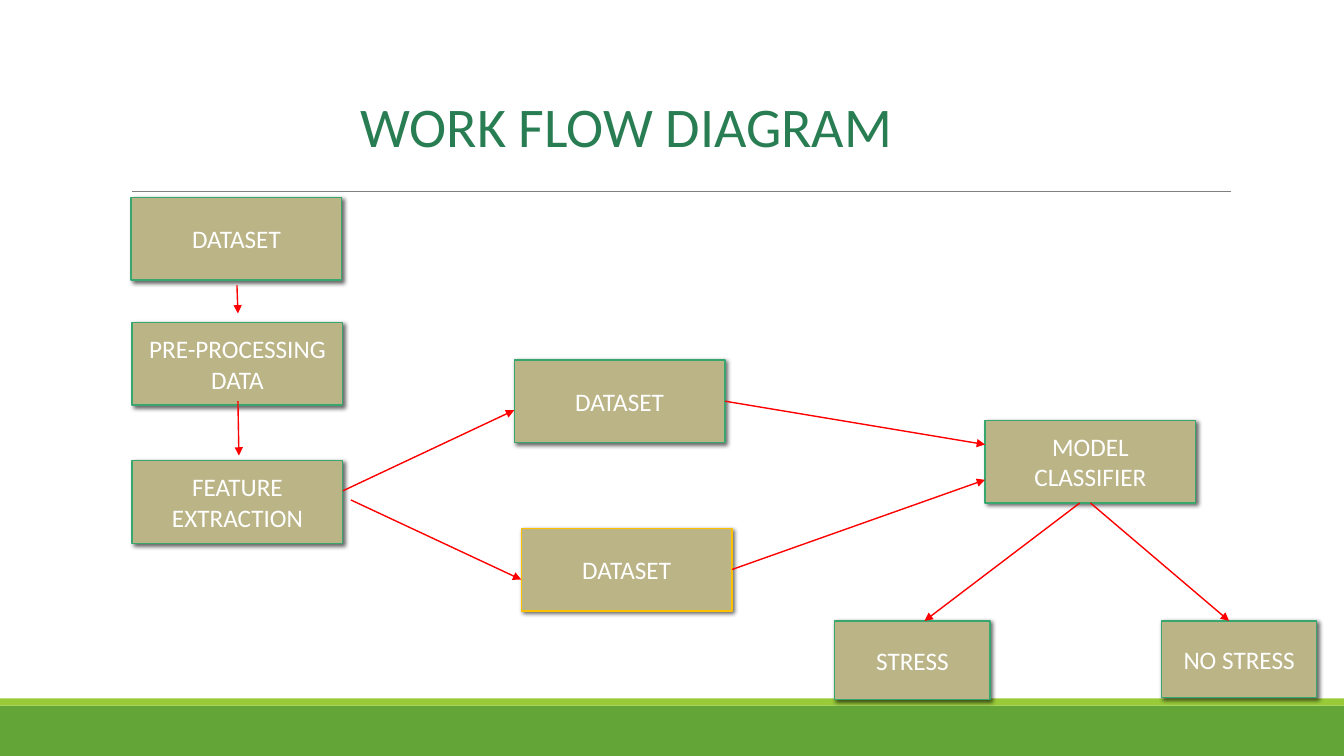
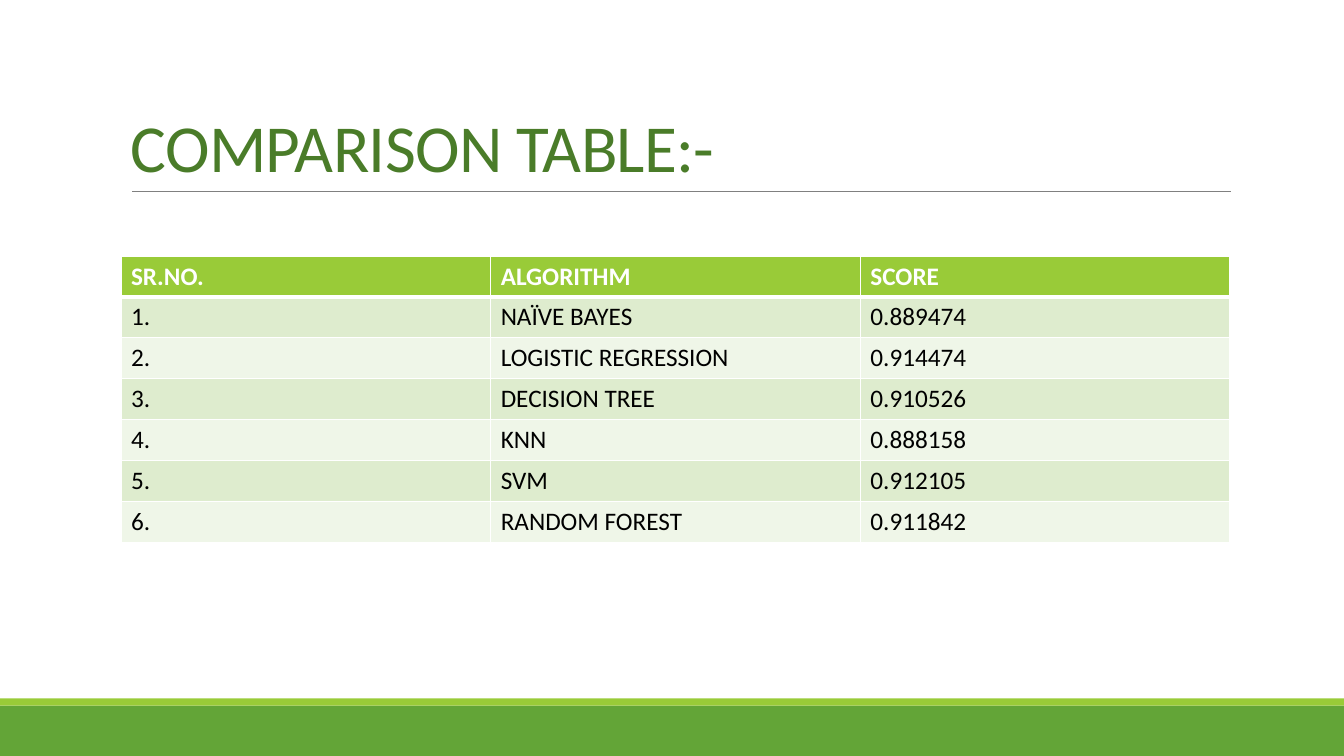
from lxml import etree
from pptx import Presentation
from pptx import util as u
from pptx.dml.color import RGBColor
from pptx.enum import shapes, text
from pptx.oxml import parse_xml
from pptx.oxml.ns import nsdecls, qn

GREEN = RGBColor(0x63, 0xA5, 0x37)
LIME = RGBColor(0x99, 0xCB, 0x38)
GRAY = RGBColor(0x80, 0x80, 0x80)
KHAKI = RGBColor(0xBB, 0xB4, 0x87)
TEAL = RGBColor(0x37, 0xA7, 0x6F)
AMBER = RGBColor(0xFF, 0xC0, 0x00)
RED = RGBColor(0xFF, 0x00, 0x00)
WHITE = RGBColor(0xFF, 0xFF, 0xFF)
BLACK = RGBColor(0x00, 0x00, 0x00)
FLOW_GREEN = RGBColor(0x29, 0x7D, 0x53)
TABLE_GREEN = RGBColor(0x4A, 0x7C, 0x29)
ROW_FILLS = RGBColor(0xEF, 0xF6, 0xE8), RGBColor(0xDE, 0xEC, 0xCE)

SHADOW = (
    f'<a:outerShdw {nsdecls("a")} blurRad="38100" dist="25400" dir="2700000" '
    'algn="tl" rotWithShape="0"><a:srgbClr val="000000"><a:alpha val="60000"/>'
    '</a:srgbClr></a:outerShdw>'
)


def write(frame, words, size, color, bold=False, align=text.PP_ALIGN.LEFT):
    paragraph = frame.paragraphs[0]
    paragraph.alignment = align
    run = paragraph.add_run()
    run.text = words
    look = {"name": "Calibri", "size": u.Pt(size), "bold": bold}
    for name, value in look.items():
        setattr(run.font, name, value)
    run.font.color.rgb = color
    return run


def draw_line(slide, start, end, color, width):
    line = slide.shapes.add_connector(
        shapes.MSO_CONNECTOR.STRAIGHT, *(u.Inches(v) for v in (*start, *end)))
    line.line.color.rgb = color
    line.line.width = u.Pt(width)
    etree.SubElement(line._element.spPr, qn("a:effectLst"))
    return line


deck = Presentation()
deck.slide_width, deck.slide_height = u.Inches(13.33), u.Inches(7.5)

titles = [
    ("WORK FLOW DIAGRAM", (3.48, 0.86, 6.73, 0.77), 40, FLOW_GREEN,
     text.MSO_ANCHOR.TOP, 1, 0),
    ("COMPARISON TABLE:-", (1.2, 0.31, 11, 1.59), 48, TABLE_GREEN,
     text.MSO_ANCHOR.BOTTOM, 0.85, -50),
]
for words, place, size, color, anchor, leading, tracking in titles:
    slide = deck.slides.add_slide(deck.slide_layouts[6])
    for top, height, fill in [(7, 0.5, GREEN), (6.93, 0.07, LIME)]:
        band = slide.shapes.add_shape(
            shapes.MSO_SHAPE.RECTANGLE, 0, u.Inches(top),
            deck.slide_width, u.Inches(height))
        band.shadow.inherit = False
        band.fill.solid()
        band.fill.fore_color.rgb = fill
        band.line.fill.background()
    draw_line(slide, (1.31, 1.9), (12.21, 1.9), GRAY, 0.5)
    title = slide.shapes.add_textbox(*(u.Inches(v) for v in place))
    title.text_frame.word_wrap = True
    title.text_frame.vertical_anchor = anchor
    run = write(title.text_frame, words, size, color)
    run.font._element.set("spc", str(tracking))
    title.text_frame.paragraphs[0].line_spacing = leading

flow, comparison = deck.slides

steps = {
    "dataset": ("DATASET", 1.3, 1.96, 2.09, 0.82, TEAL),
    "cleaning": ("PRE-PROCESSING DATA", 1.31, 3.2, 2.09, 0.82, TEAL),
    "features": ("FEATURE EXTRACTION", 1.31, 4.57, 2.09, 0.82, TEAL),
    "upper": ("DATASET", 5.1, 3.57, 2.09, 0.82, TEAL),
    "lower": ("DATASET", 5.17, 5.24, 2.09, 0.82, AMBER),
    "model": ("MODEL CLASSIFIER", 9.77, 4.17, 2.09, 0.82, TEAL),
    "no stress": ("NO STRESS", 11.52, 6.16, 1.54, 0.76, TEAL),
    "stress": ("STRESS", 8.28, 6.16, 1.54, 0.78, TEAL),
}
boxes = {}
for step, (words, *place, outline) in steps.items():
    box = flow.shapes.add_shape(
        shapes.MSO_SHAPE.RECTANGLE, *(u.Inches(v) for v in place))
    box.fill.solid()
    box.fill.fore_color.rgb = KHAKI
    box.line.color.rgb = outline
    box.line.width = u.Pt(1)
    box.shadow.inherit = False
    box._element.spPr.find(qn("a:effectLst")).append(parse_xml(SHADOW))
    box.text_frame.word_wrap = True
    box.text_frame.vertical_anchor = text.MSO_ANCHOR.MIDDLE
    write(box.text_frame, words, 18, WHITE, align=text.PP_ALIGN.CENTER)
    boxes[step] = box

arrows = [
    ((2.35, 2.83), (2.36, 3.11), None),
    ((2.36, 3.98), (2.37, 4.52), None),
    ((3.4, 4.87), (5.1, 4.07), None),
    ((3.48, 4.96), (5.17, 5.75), None),
    ((7.19, 3.98), (9.77, 4.41), ("upper", 3)),
    ((7.27, 5.64), (9.77, 4.76), ("lower", 3)),
    ((10.71, 4.99), (9.17, 6.16), None),
    ((10.82, 4.99), (12.19, 6.16), ("model", 2)),
]
for start, end, source in arrows:
    arrow = draw_line(flow, start, end, RED, 1)
    etree.SubElement(arrow.line._get_or_add_ln(), qn("a:tailEnd"), type="triangle")
    if source:
        step, side = source
        arrow.begin_connect(boxes[step], side)

scores = [
    ("SR.NO.", "ALGORITHM", "SCORE"),
    ("1.", "NAÏVE BAYES", "0.889474"),
    ("2.", "LOGISTIC REGRESSION", "0.914474"),
    ("3.", "DECISION TREE", "0.910526"),
    ("4.", "KNN", "0.888158"),
    ("5.", "SVM", "0.912105"),
    ("6.", "RANDOM FOREST", "0.911842"),
]
table = comparison.shapes.add_table(
    len(scores), 3, u.Inches(1.2), u.Inches(2.54),
    u.Inches(11), u.Inches(2.84)).table
for r, row in enumerate(scores):
    header = r == 0
    for c, words in enumerate(row):
        cell = table.cell(r, c)
        write(cell.text_frame, words, 18, WHITE if header else BLACK, header)
        borders = {"lnL": 1, "lnR": 1, "lnT": 3 if r == 1 else 1,
                   "lnB": 3 if header else 1}
        for edge, width in borders.items():
            cell._tc.get_or_add_tcPr().append(parse_xml(
                f'<a:{edge} {nsdecls("a")} w="{u.Pt(width)}"><a:solidFill>'
                f'<a:srgbClr val="{WHITE}"/></a:solidFill></a:{edge}>'))
        cell.fill.solid()
        cell.fill.fore_color.rgb = LIME if header else ROW_FILLS[r % 2]

deck.save("out.pptx")
